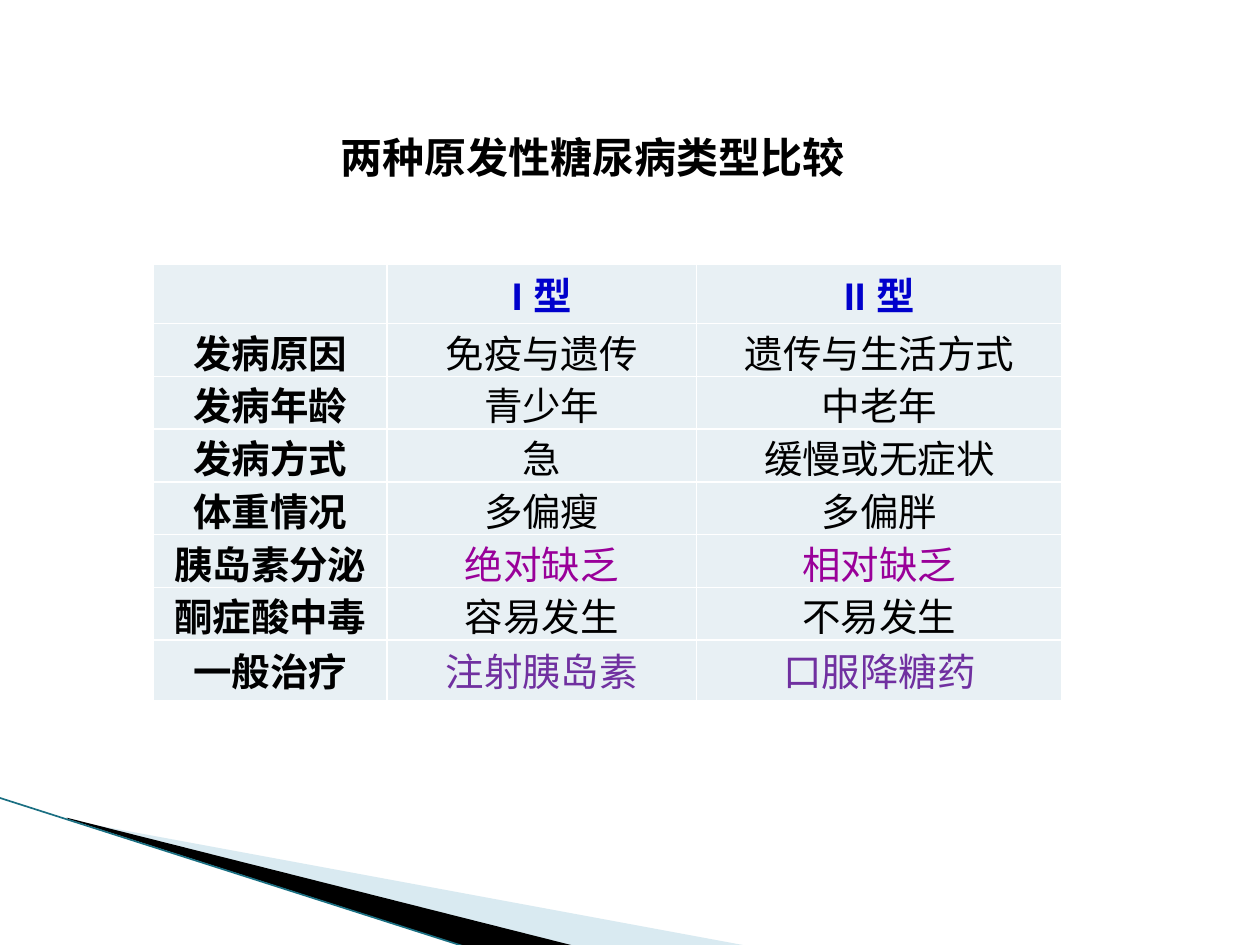
from lxml import etree
from pptx import Presentation
from pptx.dml.color import RGBColor
from pptx.enum.shapes import MSO_CONNECTOR
from pptx.enum.text import MSO_ANCHOR, MSO_AUTO_SIZE, PP_ALIGN
from pptx.oxml import parse_xml
from pptx.oxml.ns import qn
from pptx.util import Inches, Pt

CENTER, MIDDLE = PP_ALIGN.CENTER, MSO_ANCHOR.MIDDLE
STRAIGHT, GROW = MSO_CONNECTOR.STRAIGHT, MSO_AUTO_SIZE.SHAPE_TO_FIT_TEXT
NAMESPACE = "http://schemas.openxmlformats.org/drawingml/2006/main"
TITLE_ONLY = 5
WHITE, BLACK, BLUE = "FFFFFF", "000000", "0000CC"
MAGENTA, PURPLE, CELL_TINT = "990099", "7030A0", "E8F0F4"
PALE_WEDGE, EDGE_TEAL = "A0CBDC", "1A6F82"

COLUMN_SHARES = (1.85, 2.46, 2.9)
ROW_HEIGHTS = (0.47,) + (0.42,) * 6 + (0.48,)
COMPARISON = (
    ("", "I 型", "II 型", BLUE),
    ("发病原因", "免疫与遗传", "遗传与生活方式", BLACK),
    ("发病年龄", "青少年", "中老年", BLACK),
    ("发病方式", "急", "缓慢或无症状", BLACK),
    ("体重情况", "多偏瘦", "多偏胖", BLACK),
    ("胰岛素分泌", "绝对缺乏", "相对缺乏", MAGENTA),
    ("酮症酸中毒", "容易发生", "不易发生", BLACK),
    ("一般治疗", "注射胰岛素", "口服降糖药", PURPLE),
)


def paint(color_format, hex_color):
    """Set a fill's or font's colour from a hex string."""
    color_format.rgb = RGBColor.from_string(hex_color)


def style_text(paragraph, font_name, size, color, bold):
    """Centre a paragraph and set its font."""
    paragraph.alignment = CENTER
    font = paragraph.font
    font.name, font.size, font.bold = font_name, Pt(size), bold
    paint(font.color, color)


def add_wedge(slide, origin, points, color, opacity=100):
    """Add a filled outline whose points are inches from the origin."""
    left, top = origin
    corners = [(Inches(left + x), Inches(top + y)) for x, y in points]
    builder = slide.shapes.build_freeform(*corners[0], scale=1.0)
    builder.add_line_segments(corners[1:], close=True)
    wedge = builder.convert_to_shape()
    wedge.shadow.inherit = False
    wedge.fill.solid()
    paint(wedge.fill.fore_color, color)
    wedge.line.fill.background()
    if opacity < 100:
        tint = wedge.fill._xPr.find(".//" + qn("a:srgbClr"))
        etree.SubElement(tint, qn("a:alpha")).set("val", str(opacity * 1000))


def add_corner(slide, left, top, width, height):
    """Draw the slanted wedges and edge line in the lower left corner."""
    origin = (left, top)
    add_wedge(slide, origin, ((0.56, 0.18), (width, height - 0.01),
                              (4.57, height - 0.01), (0.56, 0.17)), PALE_WEDGE, 40)
    add_wedge(slide, origin, ((0.54, 0.16), (4.58, height - 0.01),
                              (3.73, height), (0.55, 0.17)), BLACK)
    edge = slide.shapes.add_connector(
        STRAIGHT, Inches(left), Inches(top), Inches(left + 3.72), Inches(top + height))
    paint(edge.line.color, EDGE_TEAL)
    edge.line.width = Pt(0.95)
    etree.SubElement(edge._element.spPr, qn("a:effectLst"))


def add_heading(slide, left, top, width, height):
    """Place and format the slide title."""
    heading = slide.shapes.title
    heading.left, heading.top = Inches(left), Inches(top)
    heading.width, heading.height = Inches(width), Inches(height)
    frame = heading.text_frame
    frame.text = "两种原发性糖尿病类型比较"
    frame.word_wrap, frame.auto_size, frame.vertical_anchor = True, GROW, MIDDLE
    paragraph = frame.paragraphs[0]
    paragraph._p.get_or_add_pPr().set("marL", str(Inches(0.09)))
    style_text(paragraph, "Courier New", 24, BLACK, True)


def add_borders(cell):
    """Give a cell thin white rules on all four sides."""
    properties = cell._tc.get_or_add_tcPr()
    for position, side in enumerate(("lnL", "lnR", "lnT", "lnB")):
        properties.insert(position, parse_xml(
            f'<a:{side} xmlns:a="{NAMESPACE}" w="{Pt(1)}"><a:solidFill>'
            f'<a:srgbClr val="{WHITE}"/></a:solidFill></a:{side}>'))


def fill_cell(cell, text, color, bold):
    """Write and format one table cell."""
    cell.margin_left = cell.margin_right = cell.margin_top = cell.margin_bottom = 0
    cell.vertical_anchor = MIDDLE
    cell.text = text
    style_text(cell.text_frame.paragraphs[0], "Arial", 22, color, bold)
    cell.fill.solid()
    paint(cell.fill.fore_color, CELL_TINT)
    add_borders(cell)


def add_comparison(slide, left, top, width, height):
    """Add the table that compares the two types."""
    table = slide.shapes.add_table(
        len(COMPARISON), len(COLUMN_SHARES), Inches(left), Inches(top),
        Inches(width), Inches(height)).table
    for column, share in zip(table.columns, COLUMN_SHARES):
        column.width = Inches(width * share / sum(COLUMN_SHARES))
    for row, row_height in zip(table.rows, ROW_HEIGHTS):
        row.height = Inches(height * row_height / sum(ROW_HEIGHTS))
    for row_index, (feature, type_one, type_two, color) in enumerate(COMPARISON):
        for column_index, text in enumerate((feature, type_one, type_two)):
            is_label = column_index == 0
            fill_cell(table.cell(row_index, column_index), text,
                      BLACK if is_label else color, is_label or row_index == 0)


def main():
    """Build the slide and save it."""
    deck = Presentation()
    deck.slide_width, deck.slide_height = Inches(10), Inches(7.5)
    slide = deck.slides.add_slide(deck.slide_layouts[TITLE_ONLY])
    slide.background.fill.solid()
    paint(slide.background.fill.fore_color, WHITE)
    add_corner(slide, -0.01, 6.33, 5.96, 1.19)
    add_comparison(slide, 1.22, 2.1, 7.21, 3.46)
    add_heading(slide, 2.09, 0.99, 5.14, 0.5)
    deck.save("out.pptx")


if __name__ == "__main__":
    main()
